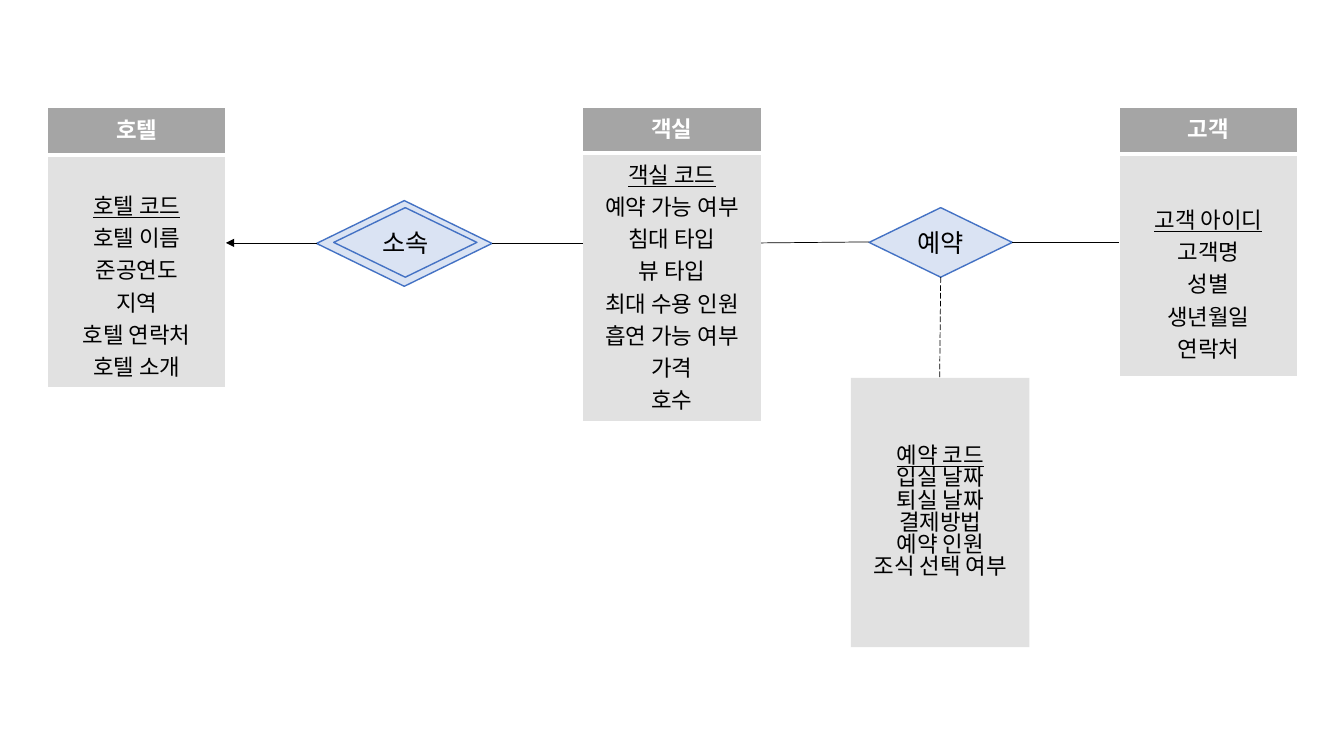
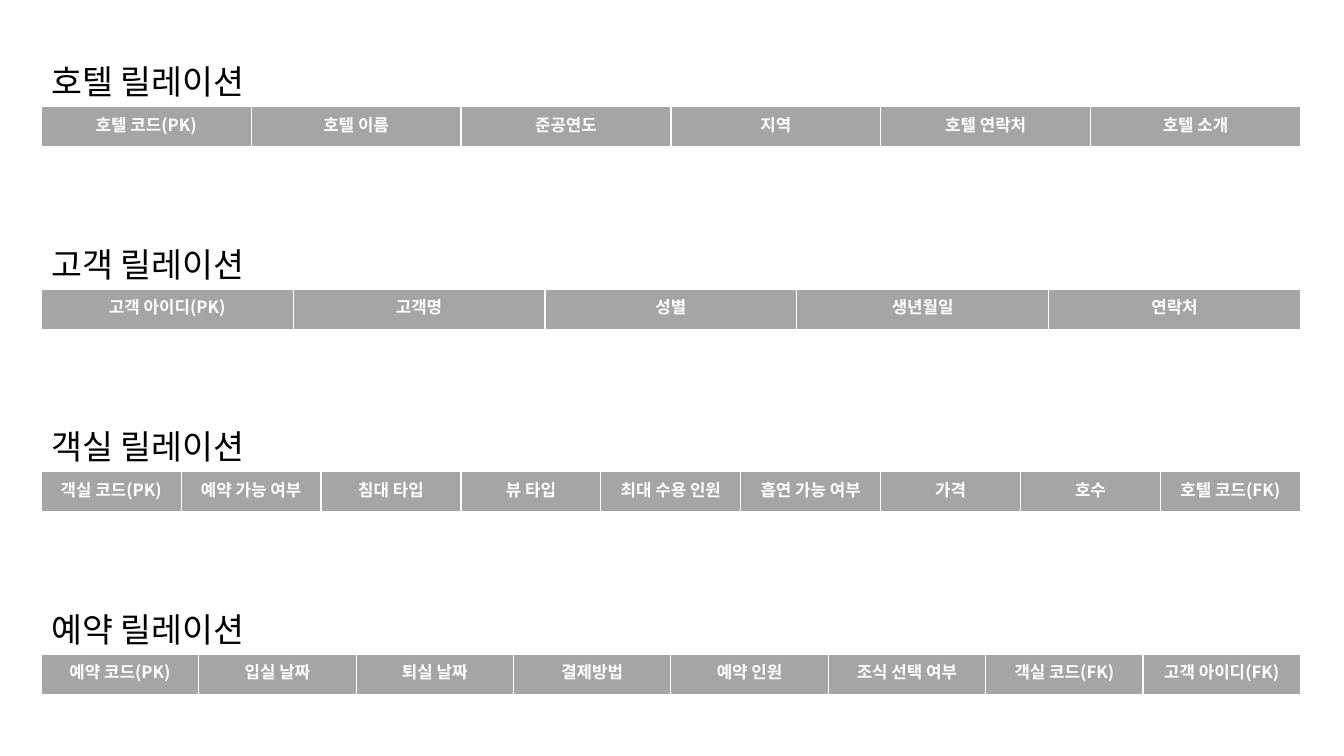
"""Hotel booking database: an entity-relationship diagram and its relations."""
from dataclasses import dataclass

from lxml.etree import SubElement
from pptx import Presentation
from pptx.dml.color import RGBColor
from pptx.enum.dml import MSO_LINE_DASH_STYLE as Dash
from pptx.enum.shapes import MSO_CONNECTOR as Connector, MSO_SHAPE as Shape
from pptx.enum.text import MSO_ANCHOR as Anchor, PP_ALIGN as Align
from pptx.oxml.ns import qn
from pptx.util import Inches, Pt


@dataclass(frozen=True)
class Theme:
    font: str = "Noto Sans CJK KR"
    header: str = "A5A5A5"
    body: str = "E1E1E1"
    diamond: str = "DAE3F3"
    outline: str = "4472C4"
    black: str = "000000"
    white: str = "FFFFFF"
    title_size: int = 24
    diamond_size: int = 18
    entity_size: int = 16
    column_size: int = 12
    thin: float = 0.5
    edge: float = 1
    thick: float = 3


theme = Theme()

ENTITIES = [
    dict(name="호텔", left=0.47, heights=(0.47, 2.31), side=0.11, edge=0.05, lead=0.28,
         fields=["호텔 코드", "호텔 이름", "준공연도", "지역", "호텔 연락처", "호텔 소개"]),
    dict(name="객실", left=5.78, heights=(0.45, 2.66), side=0.09, edge=0.04, lead=0,
         fields=["객실 코드", "예약 가능 여부", "침대 타입", "뷰 타입", "최대 수용 인원",
                 "흡연 가능 여부", "가격", "호수"]),
    dict(name="고객", left=11.1, heights=(0.46, 2.21), side=0.09, edge=0.04, lead=0.44,
         fields=["고객 아이디", "고객명", "성별", "생년월일", "연락처"]),
]
ENTITY_TOP, ENTITY_WIDTH = 1.07, 1.77

DIAMONDS = [
    ("", 3.14, 1.99, 1.74, 0.85),
    ("소속", 3.31, 2.06, 1.42, 0.69),
    ("예약", 8.62, 2.06, 1.42, 0.69),
]
BOOKING_BOX = (8.44, 3.75, 1.77, 2.67)
BOOKING_FIELDS = ["예약 코드", "입실 날짜", "퇴실 날짜", "결제방법", "예약 인원", "조식 선택 여부"]
BOOKING_SPACING = 0.83

LINKS = [
    ((3.14, 2.41), (2.24, 2.41), "arrow"),
    ((4.88, 2.41), (5.78, 2.41), "plain"),
    ((8.62, 2.4), (7.55, 2.41), "plain"),
    ((10.04, 2.4), (11.1, 2.4), "plain"),
    ((9.33, 2.75), (9.32, 3.75), "dashed"),
]

RELATIONS = [
    ("호텔 릴레이션", ["호텔 코드(PK)", "호텔 이름", "준공연도", "지역", "호텔 연락처", "호텔 소개"]),
    ("고객 릴레이션", ["고객 아이디(PK)", "고객명", "성별", "생년월일", "연락처"]),
    ("객실 릴레이션", ["객실 코드(PK)", "예약 가능 여부", "침대 타입", "뷰 타입", "최대 수용 인원",
                  "흡연 가능 여부", "가격", "호수", "호텔 코드(FK)"]),
    ("예약 릴레이션", ["예약 코드(PK)", "입실 날짜", "퇴실 날짜", "결제방법", "예약 인원",
                  "조식 선택 여부", "객실 코드(FK)", "고객 아이디(FK)"]),
]
RELATION_LEFT, RELATION_TOP, RELATION_PITCH = 0.41, 1.06, 1.81
RELATION_WIDTH, RELATION_HEIGHT = 12.49, 0.41
TITLE_WIDTH, TITLE_HEIGHT = 2.34, 0.5


def inches(*lengths):
    return [Inches(length) for length in lengths]


def paint(target, color):
    target.fill.solid()
    target.fill.fore_color.rgb = RGBColor.from_string(color)


def write(frame, lines, size, color=theme.black, bold=False, align=Align.CENTER,
          key=False, spacing=None):
    frame.text = "\n".join(lines)
    for index, para in enumerate(frame.paragraphs):
        para.alignment = align
        para.line_spacing = spacing
        for span in para.runs:
            font = span.font
            font.size, font.bold = Pt(size), bold
            font.underline = key and index == 0
            font.color.rgb = RGBColor.from_string(color)
            font.name = theme.font
            SubElement(font._element, qn("a:ea"), typeface=theme.font)


def add_borders(cell, **widths):
    props = cell._tc.get_or_add_tcPr()
    for position, (side, width) in enumerate(widths.items()):
        line = SubElement(props, qn(f"a:{side}"), w=str(Pt(width)))
        fill = SubElement(line, qn("a:solidFill"))
        SubElement(fill, qn("a:srgbClr"), val=theme.white)
        props.insert(position, line)


def add_plain_table(slide, rows, columns, box):
    table = slide.shapes.add_table(rows, columns, *inches(*box)).table
    table.first_row = table.horz_banding = False
    return table


def fill_header(cell, label, size):
    paint(cell, theme.header)
    add_borders(cell, lnL=theme.edge, lnR=theme.edge, lnT=theme.edge, lnB=theme.thick)
    write(cell.text_frame, [label], size, theme.white, bold=True)


def add_entity(slide, name, left, heights, side, edge, lead, fields):
    box = (left, ENTITY_TOP, ENTITY_WIDTH, sum(heights))
    table = add_plain_table(slide, 2, 1, box)
    header, body = table.cell(0, 0), table.cell(1, 0)
    for row, height in zip(table.rows, heights):
        row.height = Inches(height)
    for cell in (header, body):
        cell.margin_left = cell.margin_right = Inches(side)
        cell.margin_top = cell.margin_bottom = Inches(edge)
    body.margin_top = Inches(edge + lead)
    fill_header(header, name, theme.entity_size)
    paint(body, theme.body)
    add_borders(body, lnL=theme.edge, lnR=theme.edge, lnB=theme.edge)
    write(body.text_frame, fields, theme.entity_size, key=True)


def add_box(slide, kind, box, color):
    shape = slide.shapes.add_shape(kind, *inches(*box))
    shape.shadow.inherit = False
    paint(shape, color)
    shape.text_frame.word_wrap = True
    shape.text_frame.vertical_anchor = Anchor.MIDDLE
    return shape


def add_diamond(slide, label, *box):
    shape = add_box(slide, Shape.DIAMOND, box, theme.diamond)
    shape.line.color.rgb = RGBColor.from_string(theme.outline)
    shape.line.width = Pt(theme.edge)
    if label:
        write(shape.text_frame, [label], theme.diamond_size)


def add_link(slide, start, end, style):
    link = slide.shapes.add_connector(Connector.STRAIGHT, *inches(*start, *end))
    link.line.color.rgb = RGBColor.from_string(theme.black)
    link.line.width = Pt(theme.thin)
    if style == "dashed":
        link.line.dash_style = Dash.LONG_DASH
    if style == "arrow":
        SubElement(link.line._get_or_add_ln(), qn("a:tailEnd"), type="triangle")
    SubElement(link._element.spPr, qn("a:effectLst"))


def add_relation(slide, index, title, columns):
    top = RELATION_TOP + index * RELATION_PITCH
    box = (RELATION_LEFT, top, RELATION_WIDTH, RELATION_HEIGHT)
    table = add_plain_table(slide, 1, len(columns), box)
    for number, label in enumerate(columns):
        fill_header(table.cell(0, number), label, theme.column_size)
    heading = slide.shapes.add_textbox(
        *inches(RELATION_LEFT, top - TITLE_HEIGHT, TITLE_WIDTH, TITLE_HEIGHT))
    heading.text_frame.word_wrap = False
    write(heading.text_frame, [title], theme.title_size, align=Align.LEFT)


def build_diagram(slide):
    for entity in ENTITIES:
        add_entity(slide, **entity)
    for diamond in DIAMONDS:
        add_diamond(slide, *diamond)
    booking = add_box(slide, Shape.RECTANGLE, BOOKING_BOX, theme.body)
    booking.line.fill.background()
    write(booking.text_frame, BOOKING_FIELDS, theme.entity_size, key=True,
          spacing=BOOKING_SPACING)
    for link in LINKS:
        add_link(slide, *link)


def build_relations(slide):
    for index, (title, columns) in enumerate(RELATIONS):
        add_relation(slide, index, title, columns)


deck = Presentation()
deck.slide_width, deck.slide_height = inches(13.33, 7.5)
for build in (build_diagram, build_relations):
    build(deck.slides.add_slide(deck.slide_layouts[6]))
deck.save("out.pptx")
